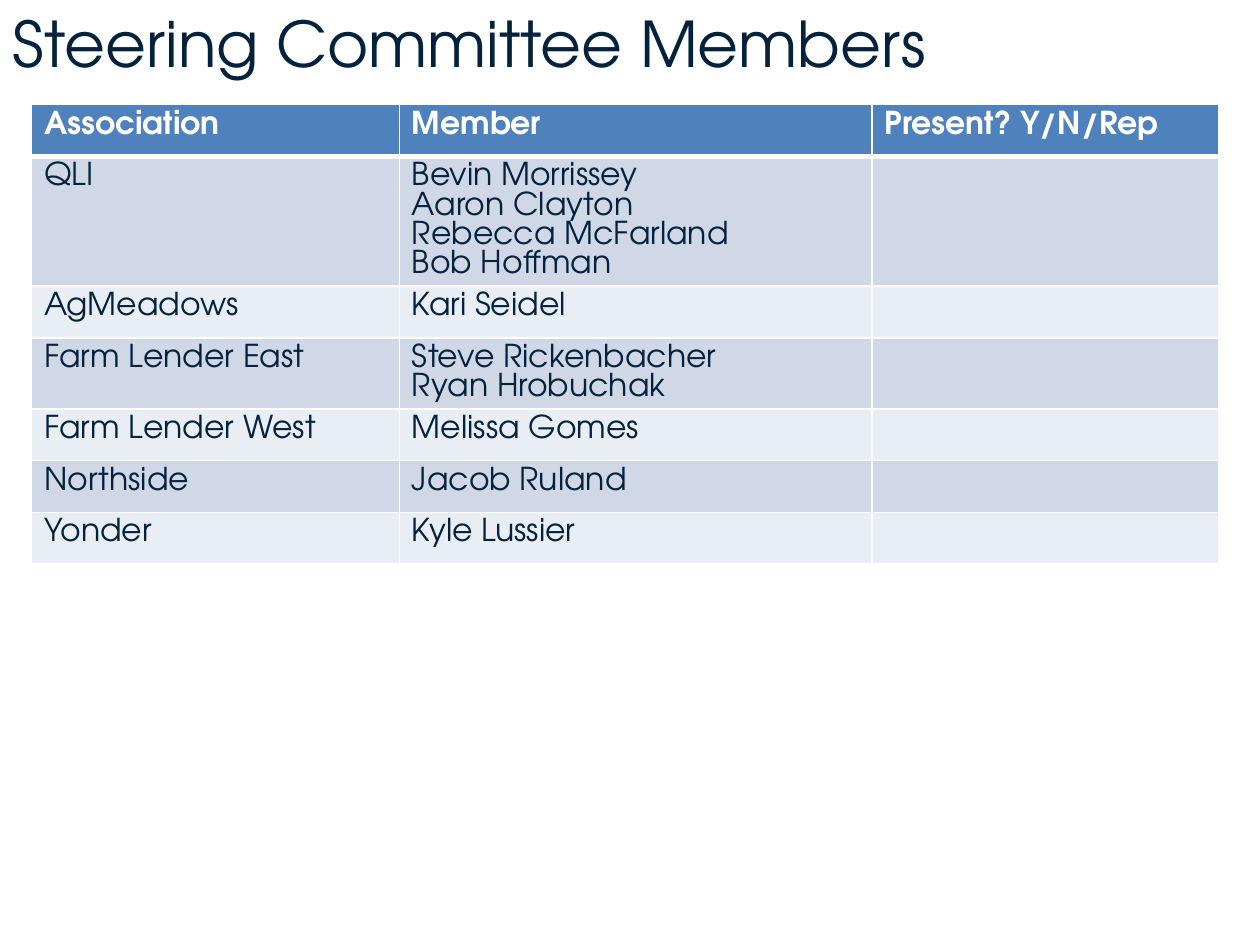
from dataclasses import dataclass

from lxml import etree
from pptx import Presentation
from pptx.dml.color import RGBColor
from pptx.enum.text import MSO_ANCHOR, MSO_AUTO_SIZE, PP_ALIGN
from pptx.oxml.ns import qn
from pptx.util import Inches, Pt

LEFT = PP_ALIGN.LEFT
MIDDLE = MSO_ANCHOR.MIDDLE
NO_AUTOFIT = MSO_AUTO_SIZE.NONE
TITLE_ONLY = 5


@dataclass(frozen=True)
class Theme:
    font: str = "TeX Gyre Adventor"
    ink: str = "05223C"
    white: str = "FFFFFF"
    header: str = "4F81BD"
    bands: tuple = ("D0D8E8", "E9EDF4")
    title_size: int = 36
    body_size: int = 18
    line_spacing: float = 16.75
    border: int = 1
    header_border: int = 3


THEME = Theme()
COLUMN_WIDTHS = (2.92, 3.75, 2.75)
ROW_HEIGHT = 0.41
HEADINGS = ("Association", "Member", "Present? Y/N/Rep")
MEMBERS = (
    ("QLI", ("Bevin Morrissey", "Aaron Clayton", "Rebecca McFarland", "Bob Hoffman")),
    ("AgMeadows", ("Kari Seidel",)),
    ("Farm Lender East", ("Steve Rickenbacher", "Ryan Hrobuchak")),
    ("Farm Lender West", ("Melissa Gomes",)),
    ("Northside", ("Jacob Ruland",)),
    ("Yonder", ("Kyle Lussier",)),
)


def set_format(target, values):
    for name, value in values.items():
        setattr(target, name, value)


def format_font(font, size, color, bold=False):
    set_format(font, {"name": THEME.font, "size": Pt(size), "bold": bold})
    font.color.rgb = RGBColor.from_string(color)


def add_title(slide, text):
    title = slide.shapes.title
    set_format(title, {"left": 0, "top": 0, "width": Inches(10), "height": Inches(0.67)})
    frame = title.text_frame
    frame.text = text
    set_format(frame, {"auto_size": NO_AUTOFIT, "vertical_anchor": MIDDLE, "word_wrap": True})
    paragraph = frame.paragraphs[0]
    paragraph.alignment = LEFT
    format_font(paragraph.runs[0].font, THEME.title_size, THEME.ink)


def set_borders(cell, bottom, top):
    properties = cell._tc.get_or_add_tcPr()
    widths = {"a:lnL": THEME.border, "a:lnR": THEME.border, "a:lnT": top, "a:lnB": bottom}
    for position, (tag, width) in enumerate(widths.items()):
        line = etree.Element(qn(tag), w=str(Pt(width)))
        fill = etree.SubElement(line, qn("a:solidFill"))
        etree.SubElement(fill, qn("a:srgbClr"), val=THEME.white)
        properties.insert(position, line)


def fill_cell(cell, lines, fill, color, bold):
    cell.fill.solid()
    cell.fill.fore_color.rgb = RGBColor.from_string(fill)
    cell.text = "\n".join(lines)
    for paragraph in cell.text_frame.paragraphs:
        paragraph.line_spacing = Pt(THEME.line_spacing)
        format_font(paragraph.font, THEME.body_size, color, bold)
        for run in paragraph.runs:
            format_font(run.font, THEME.body_size, color, bold)


def add_member_table(slide):
    rows = [[(heading,) for heading in HEADINGS]]
    rows += [[(association,), names, ()] for association, names in MEMBERS]
    table = slide.shapes.add_table(
        len(rows), len(HEADINGS), Inches(0.25), Inches(0.83),
        Inches(sum(COLUMN_WIDTHS)), Inches(ROW_HEIGHT * len(rows)),
    ).table
    for column, width in zip(table.columns, COLUMN_WIDTHS):
        column.width = Inches(width)
    for index, row in enumerate(rows):
        table.rows[index].height = Inches(ROW_HEIGHT)
        is_header = index == 0
        fill = THEME.header if is_header else THEME.bands[(index - 1) % 2]
        color = THEME.white if is_header else THEME.ink
        bottom = THEME.header_border if is_header else THEME.border
        top = THEME.header_border if index == 1 else THEME.border
        for column_index, lines in enumerate(row):
            cell = table.cell(index, column_index)
            fill_cell(cell, lines, fill, color, is_header)
            set_borders(cell, bottom, top)


def main():
    presentation = Presentation()
    set_format(presentation, {"slide_width": Inches(10), "slide_height": Inches(7.5)})
    slide = presentation.slides.add_slide(presentation.slide_layouts[TITLE_ONLY])
    add_title(slide, "Steering Committee Members")
    add_member_table(slide)
    presentation.save("out.pptx")


if __name__ == "__main__":
    main()
